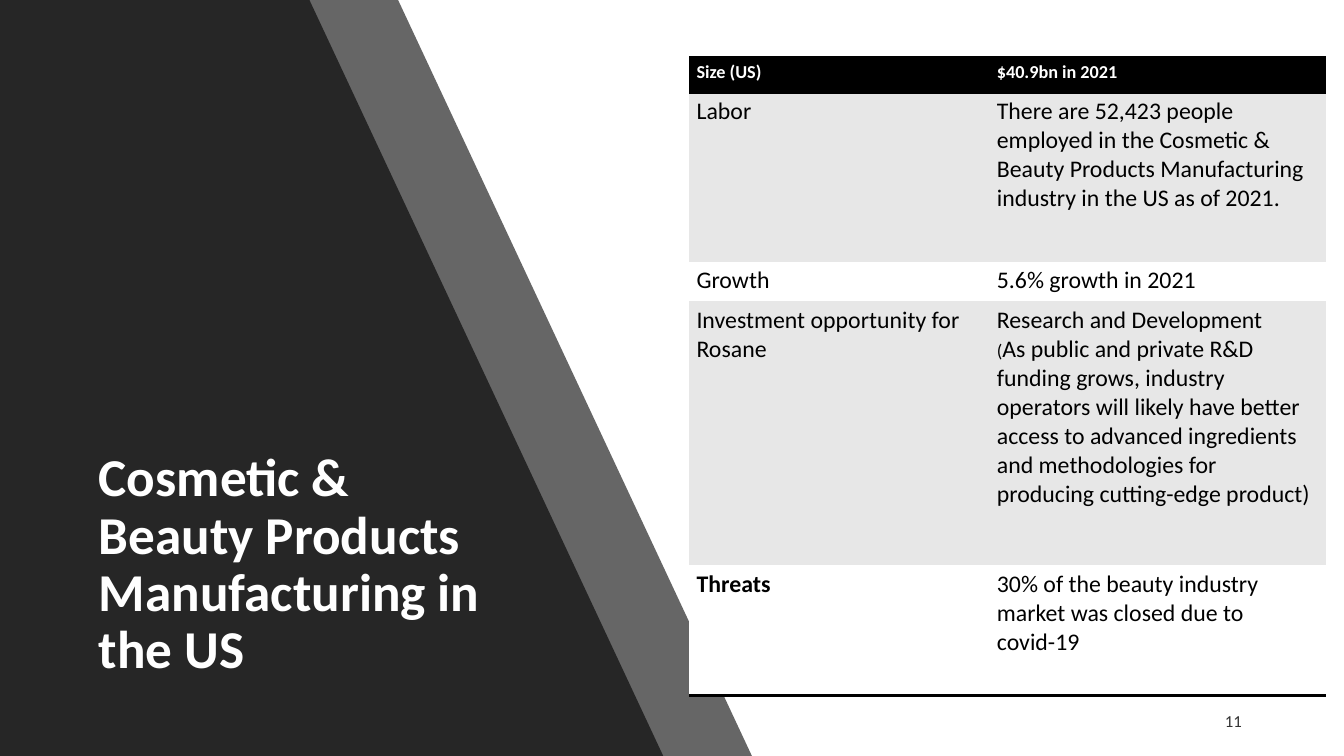
from lxml import etree
from pptx import Presentation
from pptx.dml.color import RGBColor
from pptx.enum.text import MSO_ANCHOR, PP_ALIGN
from pptx.oxml.ns import qn
from pptx.util import Pt

PX = 9144  # 100 px to the inch
TITLE_ONLY = 5
FONT = "Calibri"
BLACK, WHITE, DARK, PALE = "000000", "FFFFFF", "262626", "E7E7E7"
PLAIN_TABLE_STYLE = "{2D5ABB26-0587-4C30-8999-92F81FD0307C}"
TOP, MIDDLE = MSO_ANCHOR.TOP, MSO_ANCHOR.MIDDLE
LEFT, RIGHT = PP_ALIGN.LEFT, PP_ALIGN.RIGHT

TABLE_LEFT, TABLE_TOP = 684, 57
COLUMN_WIDTHS = [298, 333]
ROW_HEIGHTS = [35, 168, 39, 262, 129]
FACTS = [
    ("Size (US)", "$40.9bn in 2021"),
    ("Labor", "There are 52,423 people employed in the Cosmetic & Beauty "
              "Products Manufacturing industry in the US as of 2021."),
    ("Growth", "5.6% growth in 2021"),
    ("Investment opportunity for Rosane",
     ["Research and Development",
      [("(", 13), ("As public and private R&D funding grows, industry operators "
                   "will likely have better access to advanced ingredients and "
                   "methodologies for producing cutting-edge product)", 17)]]),
    ("Threats", "30% of the beauty industry market was closed due to covid-19"),
]


def px(length):
    return round(length * PX)


def rgb(color):
    return RGBColor.from_string(color)


def write_text(frame, text, size=17, color=BLACK, bold=False, align=LEFT,
               line_spacing=None, space_after=0):
    """Fill a frame from a string, or a list of strings and (text, size) run lists."""
    lines = [text] if isinstance(text, str) else text
    frame.word_wrap = True
    for index, line in enumerate(lines):
        paragraph = frame.add_paragraph() if index else frame.paragraphs[0]
        paragraph.alignment = align
        paragraph.space_before, paragraph.space_after = Pt(0), Pt(space_after)
        if line_spacing:
            paragraph.line_spacing = line_spacing
        for words, run_size in [(line, size)] if isinstance(line, str) else line:
            run = paragraph.add_run()
            run.text = words
            run.font.name, run.font.size = FONT, Pt(run_size)
            run.font.bold = bold
            run.font.color.rgb = rgb(color)


def place(shape, left, top, width, height):
    shape.left, shape.top = px(left), px(top)
    shape.width, shape.height = px(width), px(height)


def add_slanted_panel(slide, top_right, bottom_right, color, opacity=100):
    builder = slide.shapes.build_freeform(0, 0, scale=PX)
    builder.add_line_segments([(top_right, 0), (bottom_right, 750), (0, 750)])
    panel = builder.convert_to_shape()
    panel.shadow.inherit = False
    panel.line.fill.background()
    panel.fill.solid()
    panel.fill.fore_color.rgb = rgb(color)
    if opacity < 100:
        color_element = panel.fill._xPr.find(".//" + qn("a:srgbClr"))
        etree.SubElement(color_element, qn("a:alpha"), val=str(opacity * 1000))


def add_title(slide, text):
    title = slide.shapes.title
    place(title, 88, 442, 424, 238)
    title.text_frame.vertical_anchor = TOP
    write_text(title.text_frame, text, size=38, color=WHITE, bold=True,
               line_spacing=0.9)
    # Placeholders sit behind the panels unless moved to the front.
    slide.shapes._spTree.append(title._element)


def add_page_number(slide, number):
    box = slide.shapes.add_textbox(px(1195), px(695), px(47), px(40))
    box.text_frame.vertical_anchor = MIDDLE
    write_text(box.text_frame, number, size=12, color="333333", align=RIGHT,
               space_after=6)


def add_cell_borders(cell, sides):
    properties = cell._tc.get_or_add_tcPr()
    for index, side in enumerate(sides):
        line = etree.Element(qn("a:" + side), w=str(Pt(2)))
        fill = etree.SubElement(line, qn("a:solidFill"))
        etree.SubElement(fill, qn("a:srgbClr"), val=BLACK)
        properties.insert(index, line)


def add_facts_table(slide):
    frame = slide.shapes.add_table(len(FACTS), len(COLUMN_WIDTHS),
                                   px(TABLE_LEFT), px(TABLE_TOP),
                                   px(sum(COLUMN_WIDTHS)), px(sum(ROW_HEIGHTS)))
    table = frame.table
    table.horz_banding = False
    table._tbl.tblPr.find(qn("a:tableStyleId")).text = PLAIN_TABLE_STYLE
    for column, width in zip(table.columns, COLUMN_WIDTHS):
        column.width = px(width)
    for row, height in zip(table.rows, ROW_HEIGHTS):
        row.height = px(height)
    last = len(FACTS) - 1
    for row_index, texts in enumerate(FACTS):
        header = row_index == 0
        for column_index, text in enumerate(texts):
            cell = table.cell(row_index, column_index)
            cell.margin_left = cell.margin_right = px(7)
            cell.margin_top = cell.margin_bottom = px(4)
            cell.fill.solid()
            cell.fill.fore_color.rgb = rgb(
                BLACK if header else PALE if row_index % 2 else WHITE)
            write_text(cell.text_frame, text, size=13 if header else 17,
                       color=WHITE if header else BLACK,
                       bold=header or text == "Threats")
            if header:
                add_cell_borders(cell, ["lnT", "lnB"])
            elif row_index == last:
                add_cell_borders(cell, ["lnB"])


def main():
    presentation = Presentation()
    presentation.slide_width, presentation.slide_height = px(1333.33), px(750)
    slide = presentation.slides.add_slide(presentation.slide_layouts[TITLE_ONLY])
    slide.background.fill.solid()
    slide.background.fill.fore_color.rgb = rgb(WHITE)
    add_slanted_panel(slide, 395, 746, DARK, opacity=70)
    add_slanted_panel(slide, 307, 658, DARK)
    add_title(slide, "Cosmetic & Beauty Products Manufacturing in the US")
    add_page_number(slide, "11")
    add_facts_table(slide)
    presentation.save("out.pptx")


if __name__ == "__main__":
    main()
